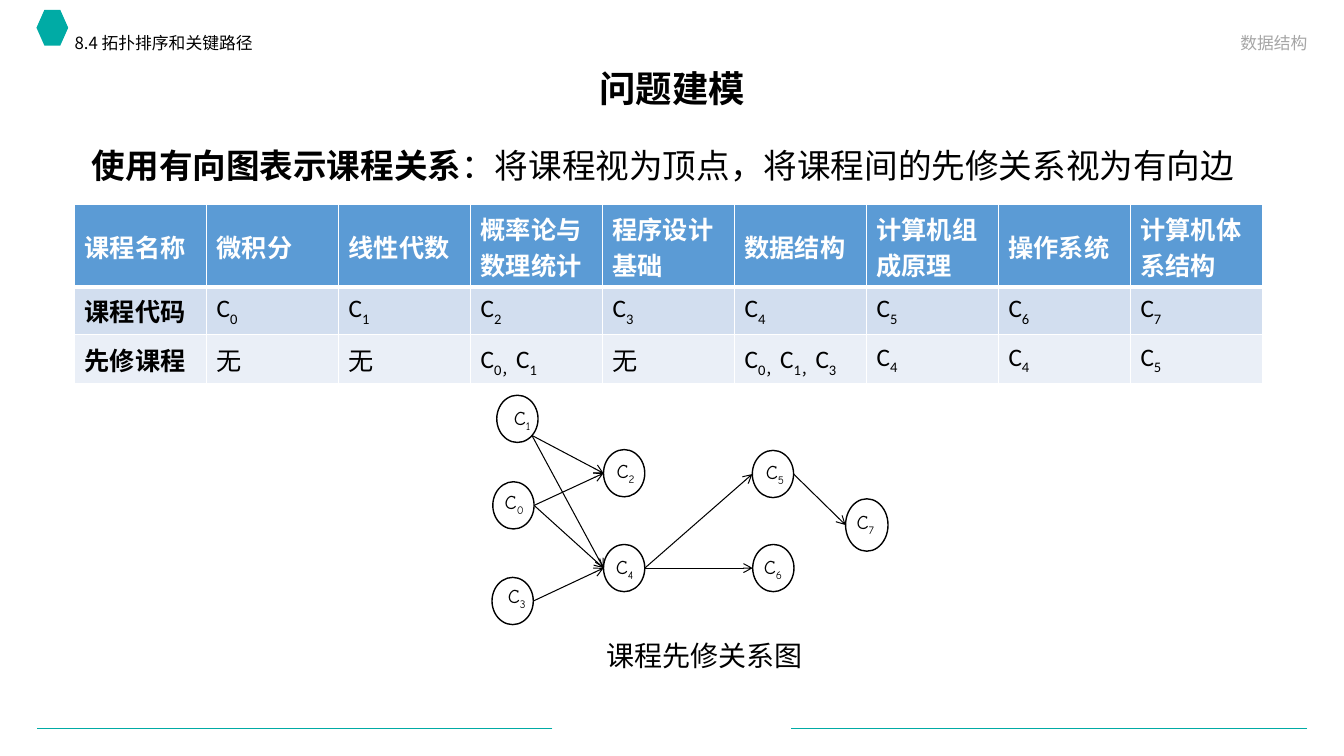
from lxml import etree
from pptx import Presentation
from pptx.dml.color import RGBColor
from pptx.enum.shapes import MSO_CONNECTOR, MSO_SHAPE
from pptx.enum.text import MSO_ANCHOR, MSO_AUTO_SIZE, PP_ALIGN
from pptx.oxml.ns import qn
from pptx.util import Cm, Pt

LEFT, MID, RIGHT = PP_ALIGN.LEFT, PP_ALIGN.CENTER, PP_ALIGN.RIGHT
TOP, MIDDLE, BOTTOM = MSO_ANCHOR.TOP, MSO_ANCHOR.MIDDLE, MSO_ANCHOR.BOTTOM
OVAL, HEX, RECT = MSO_SHAPE.OVAL, MSO_SHAPE.HEXAGON, MSO_SHAPE.RECTANGLE
LINE = MSO_CONNECTOR.STRAIGHT
NONE = MSO_AUTO_SIZE.NONE

HAN, LATIN, HAND = "Noto Sans CJK SC", "Calibri", "Comic Neue"
COLORS = {
    "black": "000000", "white": "FFFFFF", "grey": "A6A6A6", "teal": "00ABA5",
    "head": "5B9BD5", "odd": "D2DEEF", "even": "EAEFF7",
}

TITLE = "问题建模"
SECTION = "8.4 拓扑排序和关键路径"
COURSE = "数据结构"
LEAD = "使用有向图表示课程关系"
REST = "：将课程视为顶点，将课程间的先修关系视为有向边"
CAPTION = "课程先修关系图"
ROWS = [
    ("课程名称", "微积分", "线性代数", "概率论与数理统计", "程序设计基础",
     "数据结构", "计算机组成原理", "操作系统", "计算机体系结构"),
    ("课程代码", "C0", "C1", "C2", "C3", "C4", "C5", "C6", "C7"),
    ("先修课程", "无", "无", "C0，C1", "无", "C0，C1，C3", "C4", "C4", "C5"),
]
HEIGHTS = (2.08, 1.19, 1.24)
FILLS = ("head", "odd", "even")
SMALL = (1.04, 1.19)
NODES = {
    "C0": ((12.42, 12.14, *SMALL), (12.57, 12.09, 0.76, 1.19), 0.15),
    "C1": ((12.52, 9.96, *SMALL), (12.42, 9.98, 1.04, 1.19), 0.53),
    "C2": ((15.21, 11.33, *SMALL), (15.29, 11.3, 1.04, 1.19), 0.25),
    "C3": ((12.4, 14.55, *SMALL), (12.5, 14.45, 1.04, 1.19), 0.3),
    "C4": ((15.21, 13.72, *SMALL), (15.09, 13.54, 1.35, 1.57), 0.43),
    "C5": ((18.96, 11.35, *SMALL), (19, 11.33, 1.04, 1.19), 0.3),
    "C6": ((18.97, 13.72, *SMALL), (18.95, 13.72, 1.04, 1.19), 0.3),
    "C7": ((21.31, 12.57, 1.07, 1.32), (21.34, 12.73, 1.78, 0.91), 0.25),
}
EDGES = [("C0", "C2"), ("C4", "C5"), ("C1", "C2"), ("C0", "C4"),
         ("C1", "C4"), ("C3", "C4"), ("C4", "C6"), ("C5", "C7")]
RULES = [(0.94, 13.92), (19.94, 32.94)]

deck = Presentation()
deck.slide_width, deck.slide_height = Cm(33.87), Cm(19.05)
slide = deck.slides.add_slide(deck.slide_layouts[1])
shapes = slide.shapes


def color(name):
    return RGBColor.from_string(COLORS[name])


def assign(item, values):
    for name, value in values.items():
        setattr(item, name, value)


def place(shape, box):
    assign(shape, dict(zip(("left", "top", "width", "height"), map(Cm, box))))


def write(frame, runs, size, font=HAN, tint="black", para=None, **layout):
    assign(frame, {"word_wrap": True, **layout})
    line = frame.paragraphs[0]
    assign(line, {"alignment": LEFT, "space_before": Pt(0), **(para or {})})
    for text, bold, low in runs:
        run = line.add_run()
        run.text = text
        assign(run.font, {"size": Pt(size), "name": font, "bold": bold})
        run.font.color.rgb = color(tint)
        props = run._r.get_or_add_rPr()
        etree.SubElement(props, qn("a:ea"), typeface=HAN)
        if low:
            props.set("baseline", "-25000")
    return line


def split(code):
    runs = []
    for part in code.split("C")[1:]:
        runs += [("C", False, False), (part, False, True)]
    return runs


def note(box, runs, size, **style):
    text = shapes.add_textbox(*map(Cm, box))
    write(text.text_frame, runs, size, **style)


def draw(kind, box, fill, edge=None):
    shape = shapes.add_shape(kind, *map(Cm, box))
    shape.shadow.inherit = False
    shape.fill.solid()
    shape.fill.fore_color.rgb = color(fill)
    if edge:
        shape.line.color.rgb = color(edge)
        shape.line.width = Pt(1)
    else:
        shape.line.fill.background()
    return shape


def link(start, end, tint, width, arrow=False):
    line = shapes.add_connector(LINE, *map(Cm, (*start, *end)))
    line.line.color.rgb = color(tint)
    line.line.width = Pt(width)
    if arrow:
        etree.SubElement(line.line._get_or_add_ln(), qn("a:tailEnd"), type="arrow")
    etree.SubElement(line._element.spPr, qn("a:effectLst"))
    line._element.remove(line._element.find(qn("p:style")))


def border(cell, last):
    props = cell._tc.get_or_add_tcPr()
    for side in "LRTB":
        thick = 3 if (side, last) == ("B", True) else 1
        edge = etree.SubElement(props, qn("a:ln" + side), w=str(Pt(thick)))
        fill = etree.SubElement(edge, qn("a:solidFill"))
        etree.SubElement(fill, qn("a:srgbClr"), val=COLORS["white"])


for start, end in RULES:
    link((end, 18.35), (start, 18.35), "teal", 0.5)
draw(HEX, (0.92, 0.25, 0.8, 0.9), "teal")

title, body = shapes.title, slide.placeholders[1]
place(title, (2.34, 1.57, 29.21, 1.45))
write(title.text_frame, [(TITLE, True, False)], 26, auto_size=NONE,
      vertical_anchor=MIDDLE, para={"alignment": MID, "line_spacing": 0.9})
place(body, (2.06, 3.43, 30.71, 14.05))
line = write(body.text_frame, [(LEAD, True, False), (REST, False, False)], 24,
             auto_size=NONE, vertical_anchor=TOP, para={"line_spacing": 1.1})
props = line._p.get_or_add_pPr()
props.set("marL", "0")
props.set("indent", "0")
etree.SubElement(props, qn("a:buNone"))

note((1.63, 0.76, 13.51, 0.91), [(SECTION, False, False)], 12,
     para={"line_spacing": 0.9})
note((18.87, 0.56, 14.33, 0.89), [(COURSE, False, False)], 12, tint="grey",
     vertical_anchor=BOTTOM, para={"alignment": RIGHT})

grid = shapes.add_table(len(ROWS), len(ROWS[0]), Cm(1.88), Cm(5.16),
                        Cm(29.94), Cm(sum(HEIGHTS))).table
for r, row in enumerate(ROWS):
    grid.rows[r].height = Cm(HEIGHTS[r])
    for c, text in enumerate(row):
        cell = grid.cell(r, c)
        border(cell, r == 0)
        cell.fill.solid()
        cell.fill.fore_color.rgb = color(FILLS[r])
        assign(cell, {"vertical_anchor": MIDDLE, "margin_right": Cm(0.1)})
        runs = split(text) or [(text, r == 0 or c == 0, False)]
        write(cell.text_frame, runs, 18, LATIN, "black" if r else "white")

label = draw(RECT, (10.36, 16.08, 14.78, 0.86), "white")
flat = dict.fromkeys(("margin_left", "margin_right", "margin_top", "margin_bottom"), 0)
write(label.text_frame, [(CAPTION, False, False)], 20, vertical_anchor=TOP,
      para={"alignment": MID}, **flat)

for code, (ring, box, inset) in NODES.items():
    draw(OVAL, ring, "white", "black")
    note(box, split(code), 14, font=HAND, vertical_anchor=MIDDLE,
         **{**flat, "margin_left": Cm(inset)})

for tail, head in EDGES:
    x, y, w, h = NODES[tail][0]
    reach, drop = (0.85, 0.85) if tail == "C1" else (1, 0.5)
    left, top, _, tall = NODES[head][0]
    link((x + w * reach, y + h * drop), (left, top + tall / 2), "black", 0.75, True)

deck.save("out.pptx")
